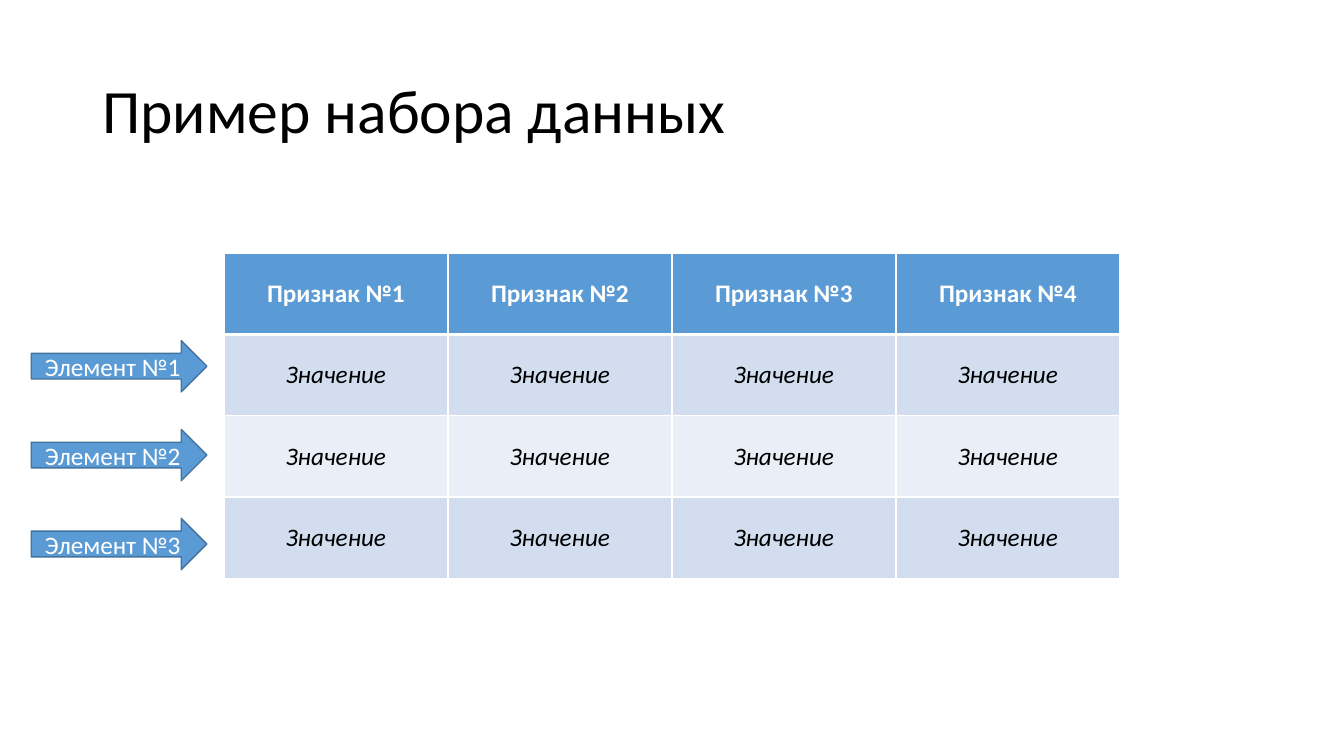
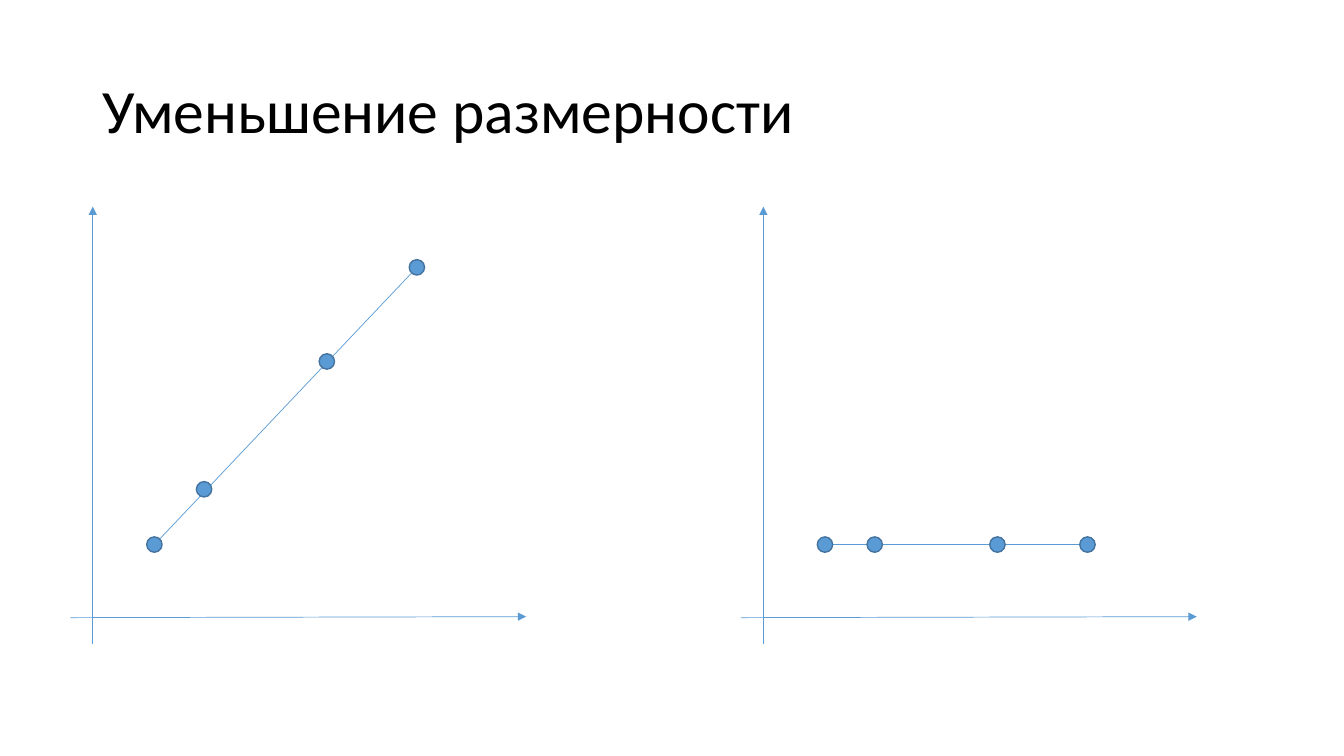
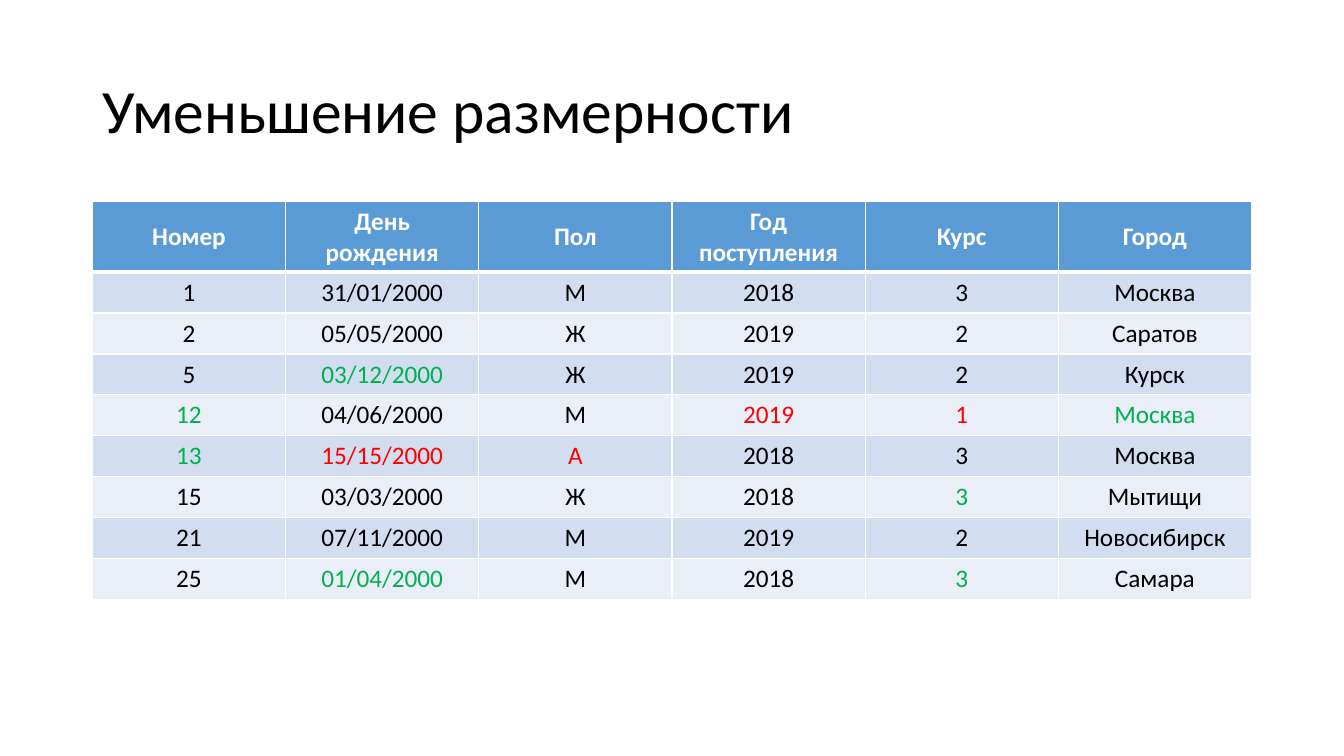
"""Build three slides on data sets and on reducing their dimensions."""
from dataclasses import dataclass
from typing import NamedTuple

from lxml.etree import SubElement as sub
from pptx import Presentation
from pptx.dml.color import RGBColor
from pptx.enum.shapes import MSO_CONNECTOR as Wire, MSO_SHAPE as Form
from pptx.enum.text import MSO_ANCHOR as Anchor, PP_ALIGN as Align
from pptx.oxml.ns import qn
from pptx.shapes.autoshape import Shape
from pptx.slide import Slide
from pptx.text.text import TextFrame as Frame
from pptx.util import Pt

BLACK = RGBColor(0x00, 0x00, 0x00)
WHITE = RGBColor(0xFF, 0xFF, 0xFF)
BLUE = RGBColor(0x5B, 0x9B, 0xD5)
EDGE = RGBColor(0x43, 0x73, 0x9E)
BANDS = (RGBColor(0xD2, 0xDE, 0xEF), RGBColor(0xEA, 0xEF, 0xF7))
GREEN = RGBColor(0x00, 0xB0, 0x50)
RED = RGBColor(0xFF, 0x00, 0x00)
FONT = "Calibri"
GAP = 479


class Point(NamedTuple):
    x: float
    y: float


class Box(NamedTuple):
    x: float
    y: float
    w: float
    h: float


@dataclass(frozen=True)
class Word:
    text: str
    color: RGBColor = BLACK
    size: float = 18
    bold: bool = False
    slant: bool = False


@dataclass(frozen=True)
class Grid:
    box: Box
    head: float
    rows: list[list[Word]]


@dataclass(frozen=True)
class Plot:
    left: float
    dots: list[Point]


def good(text: str) -> Word:
    return Word(text, GREEN)


def bad(text: str) -> Word:
    return Word(text, RED)


def heads(*names: str) -> list[Word]:
    return [Word(name, WHITE, bold=True) for name in names]


def row(*items: str | Word) -> list[Word]:
    return [Word(item) if isinstance(item, str) else item for item in items]


def write(frame: Frame, word: Word, align: Align = Align.CENTER) -> None:
    frame.word_wrap = True
    frame.vertical_anchor = Anchor.MIDDLE
    para = frame.paragraphs[0]
    para.alignment = align
    run = para.add_run()
    run.text = word.text
    font = run.font
    font.name, font.size = FONT, Pt(word.size)
    font.bold, font.italic = word.bold, word.slant
    font.color.rgb = word.color


def start(title: str) -> Slide:
    slide = deck.slides.add_slide(deck.slide_layouts[6])
    box = Box(66, 28.75, 828, 104.4)
    frame = slide.shapes.add_textbox(*map(Pt, box)).text_frame
    write(frame, Word(title, size=44), Align.LEFT)
    frame.paragraphs[0].line_spacing = 0.9
    return slide


def shape(slide: Slide, form: Form, box: Box) -> Shape:
    item = slide.shapes.add_shape(form, *map(Pt, box))
    item.shadow.inherit = False
    item.fill.solid()
    item.fill.fore_color.rgb = BLUE
    item.line.color.rgb = EDGE
    item.line.width = Pt(1)
    return item


def line(slide: Slide, start: Point, end: Point, tip: bool = False) -> None:
    wire = slide.shapes.add_connector(Wire.STRAIGHT, *map(Pt, start + end))
    wire.line.color.rgb = BLUE
    wire.line.width = Pt(0.5)
    if tip:
        sub(wire.line._get_or_add_ln(), qn("a:tailEnd"), type="triangle")
    sub(wire._element.spPr, qn("a:effectLst"))


def draw_grid(slide: Slide, grid: Grid) -> None:
    count, cols = len(grid.rows), len(grid.rows[0])
    table = slide.shapes.add_table(count, cols, *map(Pt, grid.box)).table
    table.first_row = table.horz_banding = False
    step = (grid.box.h - grid.head) / (count - 1)
    for col in table.columns:
        col.width = Pt(grid.box.w / cols)
    for r, words in enumerate(grid.rows):
        table.rows[r].height = Pt(step if r else grid.head)
        for c, word in enumerate(words):
            cell = table.cell(r, c)
            cell.vertical_anchor = Anchor.MIDDLE
            write(cell.text_frame, word)
            for side in "LRTB":
                thick = (r, side) in ((0, "B"), (1, "T"))
                edge = sub(cell._tc.get_or_add_tcPr(), qn(f"a:ln{side}"),
                           w=str(Pt(3 if thick else 1)))
                sub(sub(edge, qn("a:solidFill")), qn("a:srgbClr"),
                    val=str(WHITE))
            cell.fill.solid()
            cell.fill.fore_color.rgb = BANDS[(r - 1) % 2] if r else BLUE


def draw_plot(slide: Slide, plot: Plot) -> None:
    def at(x: float, y: float) -> Point:
        return Point(plot.left + x, y)

    line(slide, at(16, 460), at(16, 147.6), tip=True)
    line(slide, at(0, 441.2), at(325.5, 440.5), tip=True)
    spots = [at(*dot) for dot in plot.dots]
    line(slide, spots[0], spots[-1])
    size = 11
    for spot in spots:
        box = Box(spot.x - size / 2, spot.y - size / 2, size, size)
        shape(slide, Form.FLOWCHART_CONNECTOR, box)


deck = Presentation()
deck.slide_width, deck.slide_height = Pt(960), Pt(540)

sample = start("Пример набора данных")
value = Word("Значение", slant=True)
draw_grid(sample, Grid(Box(160, 180.8, 640, 232.4), 58.1, [
    heads(*(f"Признак №{n}" for n in range(1, 5))),
    *([value] * 4 for _ in range(3)),
]))
for n in range(3):
    arrow = shape(sample, Form.RIGHT_ARROW,
                  Box(22.3, 243.2 + 63.5 * n, 125.5, 36.7))
    write(arrow.text_frame, Word(f"Элемент №{n + 1}", WHITE))

plane = start("Уменьшение размерности")
dots = [Point(60, 389), Point(95.5, 349.5),
        Point(183.2, 258.2), Point(247.5, 191)]
flat = [Point(dot.x, 389) for dot in dots]
for plot in (Plot(50.3, dots), Plot(50.3 + GAP, flat)):
    draw_plot(plane, plot)

people = start("Уменьшение размерности")
draw_grid(people, Grid(Box(66, 144, 828, 284), 50.4, [
    heads("Номер", "День рождения", "Пол", "Год поступления",
          "Курс", "Город"),
    row("1", "31/01/2000", "М", "2018", "3", "Москва"),
    row("2", "05/05/2000", "Ж", "2019", "2", "Саратов"),
    row("5", good("03/12/2000"), "Ж", "2019", "2", "Курск"),
    row(good("12"), "04/06/2000", "М", bad("2019"), bad("1"),
        good("Москва")),
    row(good("13"), bad("15/15/2000"), bad("А"), "2018", "3", "Москва"),
    row("15", "03/03/2000", "Ж", "2018", good("3"), "Мытищи"),
    row("21", "07/11/2000", "М", "2019", "2", "Новосибирск"),
    row("25", good("01/04/2000"), "М", "2018", good("3"), "Самара"),
]))

deck.save("out.pptx")
